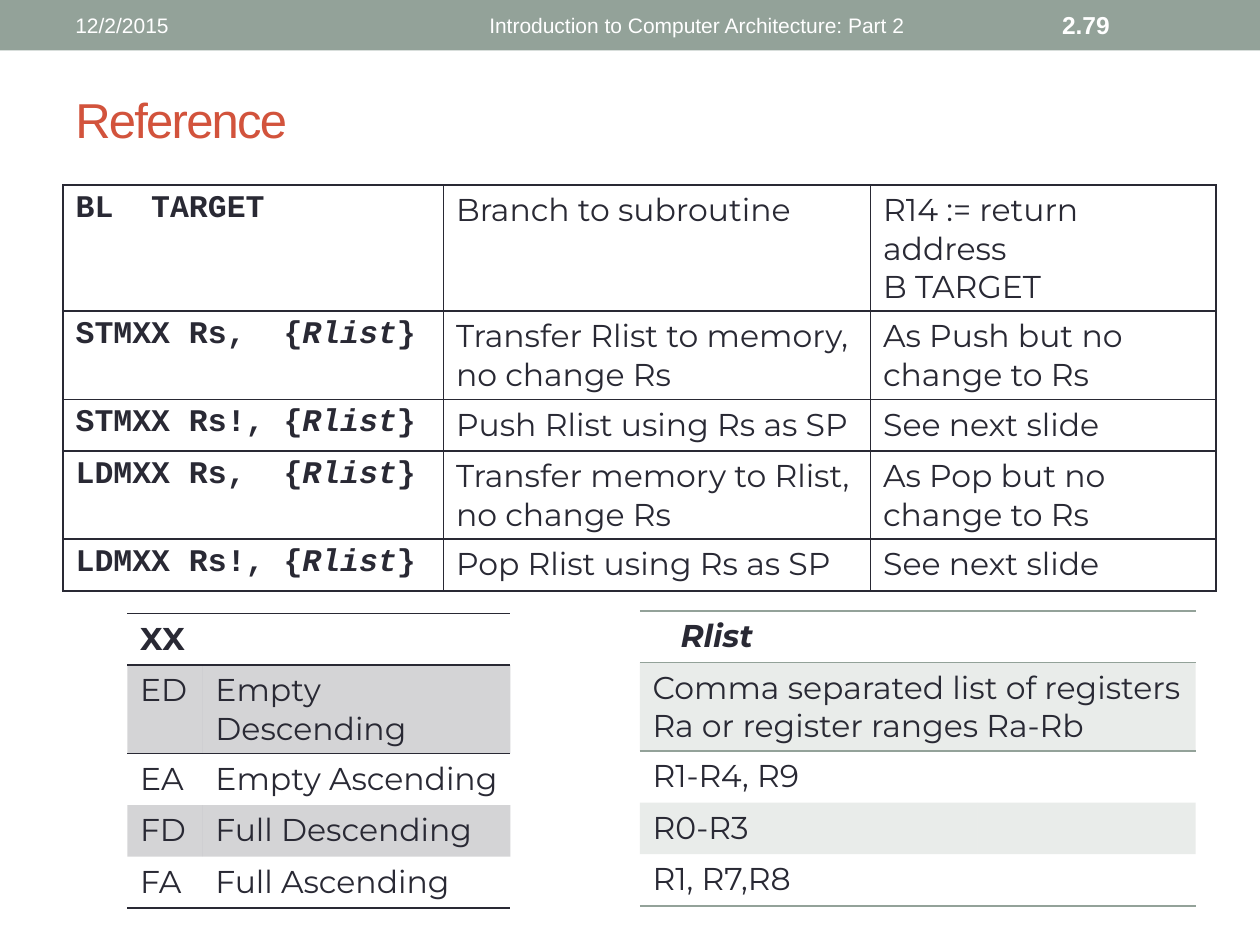
import pptx
import pptx.util
import pptx.dml.color
import pptx.enum.shapes
import pptx.enum.text
import pptx.oxml
import pptx.oxml.ns
from lxml import etree

Cm = pptx.util.Cm
ALIGN = pptx.enum.text.PP_ALIGN
COLORS = {"sage": "93A299", "red": "D2533C", "ink": "292934", "white": "FFFFFF"}
NO_STYLE = "{2D5ABB26-0587-4C30-8999-92F81FD0307C}"
ROW_HEIGHT = 1.04


def format_run(run, size, font, color, bold=False, italic=False):
    run.font.size = pptx.util.Pt(size)
    run.font.name = font
    run.font.bold = bold
    run.font.italic = italic
    run.font.color.rgb = pptx.dml.color.RGBColor.from_string(COLORS[color])


def style_cell(cell, sides, line_color, shaded):
    """Draw borders on the given sides and a 20 % tint if shaded."""
    cell.fill.background()
    properties = cell._tc.get_or_add_tcPr()
    if shaded:
        cell.fill.solid()
        cell.fill.fore_color.rgb = pptx.dml.color.RGBColor.from_string(COLORS[line_color])
        color = properties.find(".//" + pptx.oxml.ns.qn("a:srgbClr"))
        etree.SubElement(color, pptx.oxml.ns.qn("a:alpha"), val="20000")
    for position, side in enumerate(side for side in "LRTB" if side in sides):
        properties.insert(position, pptx.oxml.parse_xml(
            f'<a:ln{side} {pptx.oxml.ns.nsdecls("a")} w="12700"><a:solidFill>'
            f'<a:srgbClr val="{COLORS[line_color]}"/></a:solidFill></a:ln{side}>'))


presentation = pptx.Presentation()
presentation.slide_width, presentation.slide_height = Cm(25.4), Cm(19.05)
slide = presentation.slides.add_slide(presentation.slide_layouts[6])

# Header band
band = slide.shapes.add_shape(pptx.enum.shapes.MSO_SHAPE.RECTANGLE, 0, 0, Cm(25.4), Cm(1.02))
band.shadow.inherit = False
band.fill.solid()
band.fill.fore_color.rgb = pptx.dml.color.RGBColor.from_string(COLORS["sage"])
band.line.fill.background()

# Title and header texts: text, left, top, width, height, size, color, bold, alignment
texts = [
    ("Reference", 1.27, 1.47, 5.8, 1.85, 28, "red", False, ALIGN.LEFT),
    ("12/2/2015", 1.27, 0.05, 5.23, 0.91, 12, "white", False, ALIGN.LEFT),
    ("Introduction to Computer Architecture: Part 2",
     7.06, 0.05, 11.43, 0.91, 12, "white", False, ALIGN.RIGHT),
    ("2.79", 21.16, 0.05, 2.97, 0.91, 14, "white", True, ALIGN.LEFT),
]
for text, left, top, width, height, size, color, bold, alignment in texts:
    box = slide.shapes.add_textbox(Cm(left), Cm(top), Cm(width), Cm(height))
    frame = box.text_frame
    frame.word_wrap = True
    frame.vertical_anchor = pptx.enum.text.MSO_ANCHOR.MIDDLE
    frame.text = text
    paragraph = frame.paragraphs[0]
    paragraph.alignment = alignment
    format_run(paragraph.runs[0], size, "Arial", color, bold)
    if text == "Reference":
        paragraph.runs[0].font._element.set("spc", "-100")

# Tables; asterisks enclose italic text, merges are (row, first column, last column)
tables = [
    {"at": (1.27, 3.73), "columns": (7.67, 8.61, 6.96), "line": "ink", "grid": True,
     "merges": [],
     "rows": [
         ("BL  TARGET", "Branch to subroutine", "R14 := return address\nB TARGET"),
         ("STMXX Rs,  {*Rlist*}", "Transfer Rlist to memory, no change Rs",
          "As Push but no change to Rs"),
         ("STMXX Rs!, {*Rlist*}", "Push Rlist using Rs as SP", "See next slide"),
         ("LDMXX Rs,  {*Rlist*}", "Transfer memory to Rlist, no change Rs",
          "As Pop but no change to Rs"),
         ("LDMXX Rs!, {*Rlist*}", "Pop Rlist using Rs as SP", "See next slide")]},
    {"at": (2.57, 12.37), "columns": (1.52, 6.2), "line": "ink", "grid": False,
     "merges": [],
     "rows": [("XX", ""), ("ED", "Empty Descending"), ("EA", "Empty Ascending"),
              ("FD", "Full Descending"), ("FA", "Full Ascending")]},
    {"at": (12.9, 12.32), "columns": (3.1, 3.71, 4.39), "line": "sage", "grid": False,
     "merges": [(0, 1, 2), (1, 0, 2), (2, 0, 1), (3, 0, 1), (4, 0, 1)],
     "rows": [("*Rlist*", "", ""),
              ("Comma separated list of registers Ra or register ranges Ra-Rb", "", ""),
              ("R1-R4, R9", "", ""), ("R0-R3", "", ""), ("R1, R7,R8", "", "")]},
]
for data in tables:
    rows, columns, grid = data["rows"], data["columns"], data["grid"]
    left, top = data["at"]
    table = slide.shapes.add_table(
        len(rows), len(columns), Cm(left), Cm(top),
        Cm(sum(columns)), Cm(ROW_HEIGHT * len(rows))).table
    table.first_row = table.horz_banding = False
    table._tbl.tblPr.find(pptx.oxml.ns.qn("a:tableStyleId")).text = NO_STYLE
    for column, width in zip(table.columns, columns):
        column.width = Cm(width)
    for row, first, last in data["merges"]:
        table.cell(row, first).merge(table.cell(row, last))

    for row, values in enumerate(rows):
        if grid:
            sides = "LRTB"
        else:
            sides = {0: "TB", 1: "T", len(rows) - 1: "B"}.get(row, "")
        for column, value in enumerate(values):
            cell = table.cell(row, column)
            style_cell(cell, sides, data["line"], not grid and row % 2 == 1)
            if not value:
                continue
            code = grid and column == 0
            frame = cell.text_frame
            for index, line in enumerate(value.split("\n")):
                paragraph = frame.add_paragraph() if index else frame.paragraphs[0]
                paragraph.alignment = ALIGN.CENTER if value == "*Rlist*" else ALIGN.LEFT
                for part, text in enumerate(line.split("*")):
                    if text:
                        run = paragraph.add_run()
                        run.text = text
                        format_run(run, 18, "Courier New" if code else "Montserrat", "ink",
                                   code or (not grid and row == 0), part % 2 == 1)

presentation.save("out.pptx")
